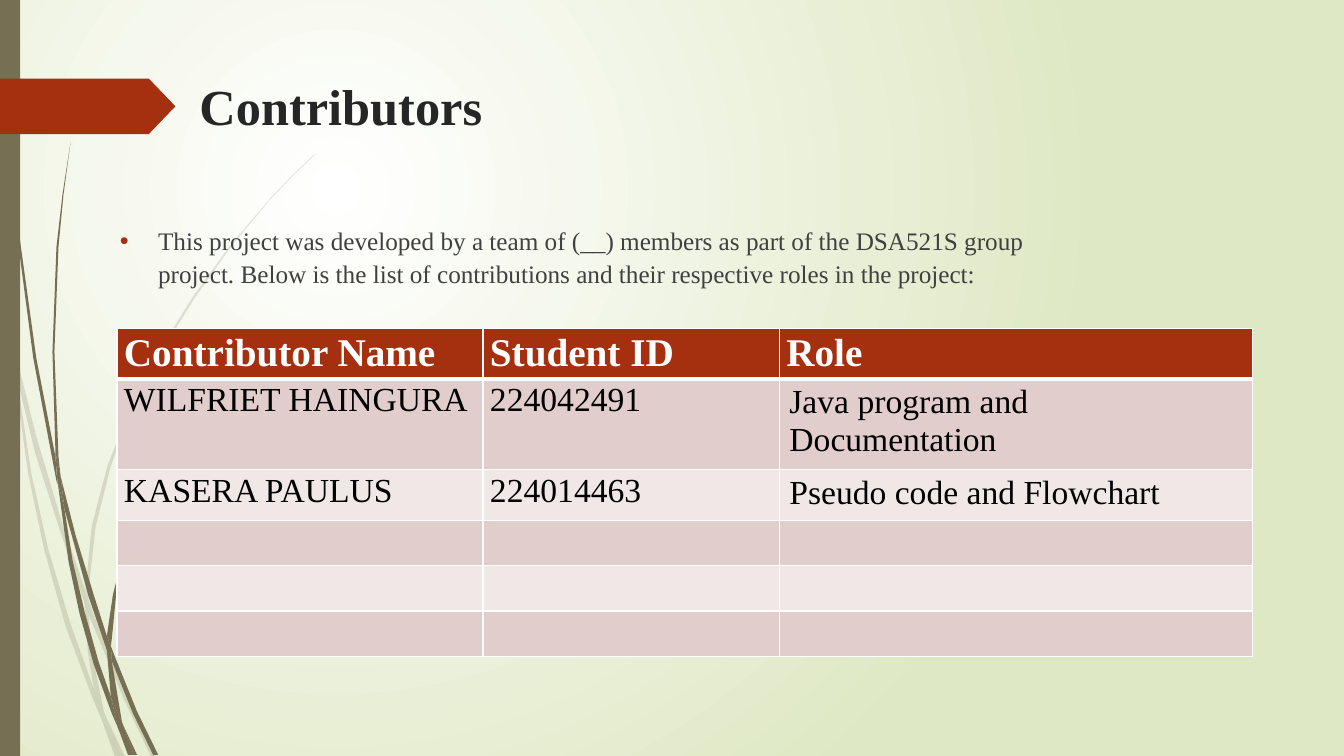
from lxml import etree
from pptx import Presentation
from pptx.dml.color import RGBColor
from pptx.enum.shapes import MSO_SHAPE
from pptx.enum.text import MSO_ANCHOR
from pptx.oxml.ns import qn
from pptx.util import Inches, Pt

RECT, PENTAGON = MSO_SHAPE.RECTANGLE, MSO_SHAPE.PENTAGON
TOP = MSO_ANCHOR.TOP

WHITE = RGBColor(0xFF, 0xFF, 0xFF)
BLACK = RGBColor(0, 0, 0)
PALE_GREEN = RGBColor(0xDF, 0xE8, 0xC4)
OLIVE = RGBColor(0x76, 0x6F, 0x54)
RUST = RGBColor(0xA5, 0x30, 0x10)
TITLE_GREY = RGBColor(0x26, 0x26, 0x26)
BODY_GREY = RGBColor(0x40, 0x40, 0x40)
ROW_FILLS = (RGBColor(0xE1, 0xCD, 0xCC), RGBColor(0xF0, 0xE8, 0xE7))
FONT = "Times New Roman"

# Outlines of the grass pieces: x, y, x, y, ...
PALE_GRASS = [
    (0.11, 3.5, 0.09, 3.22, 0, 2.82, 0, 2.99, 0.1, 3.44),
    (0.58, 5.22, 0.84, 5.99, 0.85, 5.86, 0.62, 5.2, 0.36, 4.33, 0.14, 3.45, 0.17, 3.76, 0.35, 4.5),
    (0.92, 6.07, 0.88, 5.96, 0.88, 6.1, 1.23, 6.94, 1.5, 7.51, 1.55, 7.51, 1.27, 6.92),
    (1.19, 7.51, 1.24, 7.51, 1.05, 7.11),
    (0.93, 6.83, 0.7, 6.19, 0.48, 5.45, 0.31, 4.69, 0.17, 3.76, 0.11, 3.5, 0.28, 4.7,
     0.44, 5.46, 0.65, 6.21, 0.92, 6.93, 1.01, 7.14, 0.99, 7.07),
    (0.84, 5.99, 0.87, 6.46, 0.93, 6.83, 0.96, 6.92, 1.05, 7.11, 1.03, 7.06, 0.91, 6.46,
     0.88, 6.1, 0.88, 6.08),
    (0.88, 5.84, 0.95, 5.22, 1.1, 4.62, 1.32, 4.05, 1.6, 3.49, 1.93, 2.96, 2.29, 2.45, 2.68, 1.98,
     2.9, 1.75, 3.12, 1.54, 3.12, 1.53, 2.89, 1.75, 2.68, 1.97, 2.28, 2.44, 1.91, 2.95, 1.58, 3.48,
     1.3, 4.03, 1.07, 4.61, 0.91, 5.22, 0.85, 5.84, 0.88, 5.96),
    (1.01, 7.14, 1.14, 7.51, 1.19, 7.51),
    (0.88, 6.08, 0.88, 5.96, 0.85, 5.86, 0.84, 5.99),
    (0.96, 6.92, 0.93, 6.83, 0.99, 7.07, 1.01, 7.14, 1.19, 7.51, 1.05, 7.11),
]
DARK_GRASS = [
    (0.07, 1.1, 0.17, 2.33, 0.33, 3.55, 0.56, 4.77, 0.57, 4.81, 0.55, 4.53, 0.36, 3.55,
     0.19, 2.32, 0.08, 1.09, 0.05, 0.48, 0.04, 0, 0.03, 0, 0.04, 0.48),
    (0.88, 5.92, 1.06, 6.45, 1.06, 6.31, 0.93, 5.9, 0.75, 5.31, 0.6, 4.72, 0.64, 5.05),
    (1.13, 6.49, 1.1, 6.41, 1.11, 6.56, 1.32, 7.08, 1.52, 7.49, 1.57, 7.49, 1.36, 7.06),
    (1.1, 6.91, 0.98, 6.57, 0.84, 6.07, 0.72, 5.56, 0.64, 5.05, 0.57, 4.77, 0.68, 5.57,
     0.79, 6.09, 0.93, 6.59, 1.11, 7.08, 1.17, 7.22, 1.16, 7.17),
    (0.6, 4.72, 0.58, 4.53, 0.54, 3.49, 0.58, 2.45, 0.63, 1.93, 0.7, 1.41, 0.62, 1.93,
     0.56, 2.45, 0.52, 3.49, 0.55, 4.49),
    (1.33, 7.49, 1.36, 7.49, 1.22, 7.19),
    (0.57, 4.77, 0.64, 5.05, 0.6, 4.72, 0.55, 4.49, 0.55, 4.53),
    (1.11, 6.33, 1.15, 5.92, 1.25, 5.52, 1.4, 5.13, 1.58, 4.76, 1.8, 4.4, 2.05, 4.06, 2.31, 3.74,
     2.61, 3.44, 2.6, 3.44, 2.31, 3.73, 2.04, 4.05, 1.78, 4.38, 1.56, 4.74, 1.37, 5.11,
     1.22, 5.51, 1.12, 5.9, 1.06, 6.31, 1.1, 6.41),
    (1.17, 7.22, 1.27, 7.49, 1.31, 7.49),
    (1.06, 6.45, 1.1, 6.91, 1.16, 7.06, 1.22, 7.19, 1.21, 7.16, 1.11, 6.56, 1.09, 6.51),
    (1.06, 6.45, 1.11, 6.56, 1.1, 6.41, 1.06, 6.31),
    (1.16, 7.06, 1.1, 6.91, 1.17, 7.22, 1.3, 7.49, 1.33, 7.49, 1.22, 7.19),
]

HEADERS = ("Contributor Name", "Student ID", "Role")
CONTRIBUTORS = [
    ("WILFRIET HAINGURA", "224042491", "Java program and Documentation"),
    ("KASERA PAULUS", "224014463", "Pseudo code and Flowchart"),
]
EMPTY_ROWS = 3
COL_WIDTHS = (3.63, 2.94, 4.69)
ROW_HEIGHT = 0.45


def paint_background(s):
    """Radial gradient centred in the upper left quarter."""
    fill = s.background.fill
    fill.gradient()
    for stop, color in zip(fill.gradient_stops, (WHITE, PALE_GREEN)):
        stop.color.rgb = color
    grad = s.element.find(".//" + qn("a:gradFill"))
    grad.remove(grad.find(qn("a:lin")))
    circle = etree.SubElement(grad, qn("a:path"), path="circle")
    etree.SubElement(circle, qn("a:fillToRect"), l="50000", t="50000", r="100000", b="100000")


def paint(sp, color, opacity=100):
    sp.shadow.inherit = False
    sp.fill.solid()
    sp.fill.fore_color.rgb = color
    sp.line.fill.background()
    if opacity < 100:
        rgb = sp.element.spPr.find(".//" + qn("a:srgbClr"))
        etree.SubElement(rgb, qn("a:alpha"), val=str(opacity * 1000))


def add_grass(s, left, top, pieces, opacity):
    for piece in pieces:
        outline = [(Inches(left + x), Inches(top + y))
                   for x, y in zip(piece[::2], piece[1::2])]
        builder = s.shapes.build_freeform(*outline[0])
        builder.add_line_segments(outline[1:], close=True)
        paint(builder.convert_to_shape(), OLIVE, opacity)


def add_block(s, kind, left, top, width, height, color):
    sp = s.shapes.add_shape(kind, *map(Inches, (left, top, width, height)))
    paint(sp, color)
    return sp


def add_run(p, text, size, color, bold=False):
    r = p.add_run()
    r.text = text
    r.font.name, r.font.size, r.font.bold = FONT, Pt(size), bold
    r.font.color.rgb = color


def add_text(s, left, top, width, height, text, size, color, bold=False):
    sp = s.shapes.add_textbox(*map(Inches, (left, top, width, height)))
    tf = sp.text_frame
    tf.word_wrap, tf.vertical_anchor = True, TOP
    p = tf.paragraphs[0]
    p.line_spacing, p.space_after = 1.07, Pt(8)
    add_run(p, text, size, color, bold)
    return p


def add_bullet(p, color):
    pPr = p._p.get_or_add_pPr()
    pPr.set("marL", str(Inches(0.38)))
    pPr.set("indent", str(Inches(-0.38)))
    bu_color = etree.SubElement(pPr, qn("a:buClr"))
    etree.SubElement(bu_color, qn("a:srgbClr"), val=str(color))
    etree.SubElement(pPr, qn("a:buFont"), typeface="Arial")
    etree.SubElement(pPr, qn("a:buChar"), char="•")


def style_cell(cell, color, top_width, bottom_width):
    tcPr = cell._tc.get_or_add_tcPr()
    for side, width in (("L", 1), ("R", 1), ("T", top_width), ("B", bottom_width)):
        ln = etree.SubElement(tcPr, qn("a:ln" + side), w=str(Pt(width)))
        solid = etree.SubElement(ln, qn("a:solidFill"))
        etree.SubElement(solid, qn("a:srgbClr"), val=str(WHITE))
    cell.fill.solid()
    cell.fill.fore_color.rgb = color


def add_contributors(s, left, top):
    rows = [HEADERS, *CONTRIBUTORS] + [("",) * len(HEADERS)] * EMPTY_ROWS
    table = s.shapes.add_table(
        len(rows), len(HEADERS), Inches(left), Inches(top),
        Inches(sum(COL_WIDTHS)), Inches(ROW_HEIGHT * len(rows))).table
    for column, width in zip(table.columns, COL_WIDTHS):
        column.width = Inches(width)
    for i, texts in enumerate(rows):
        table.rows[i].height = Inches(ROW_HEIGHT)
        header = i == 0
        for j, text in enumerate(texts):
            cell = table.cell(i, j)
            style_cell(cell, RUST if header else ROW_FILLS[(i - 1) % 2],
                       3 if i == 1 else 1, 3 if header else 1)
            if not text:
                continue
            p = cell.text_frame.paragraphs[0]
            if header or j < 2:
                cell.margin_left = cell.margin_right = Inches(0.07)
                cell.margin_top = cell.margin_bottom = 0
                p.line_spacing = 1.07
            add_run(p, text, 28 if header else 24, WHITE if header else BLACK, header)


def main():
    prs = Presentation()
    prs.slide_width, prs.slide_height = Inches(13.33), Inches(7.5)
    s = prs.slides.add_slide(prs.slide_layouts[6])
    paint_background(s)
    add_grass(s, 0, 0, PALE_GRASS, 20)
    add_grass(s, 0, 0, DARK_GRASS, 100)
    add_block(s, RECT, 0, 0, 0.2, 7.5, OLIVE)
    add_block(s, PENTAGON, 0, 0.78, 1.74, 0.55, RUST).adjustments[0] = 0.48
    add_text(s, 1.88, 0.65, 9.75, 1.4, "Contributors", 36, TITLE_GREY, True)
    intro = add_text(
        s, 1.09, 2.17, 9.75, 4.13,
        "This project was developed by a team of (__) members as part of the "
        "DSA521S group project. Below is the list of contributions and their "
        "respective roles in the project:", 18, BODY_GREY)
    intro.space_before = Pt(10)
    add_bullet(intro, RUST)
    add_contributors(s, 1.16, 3.26)
    prs.save("out.pptx")


if __name__ == "__main__":
    main()
